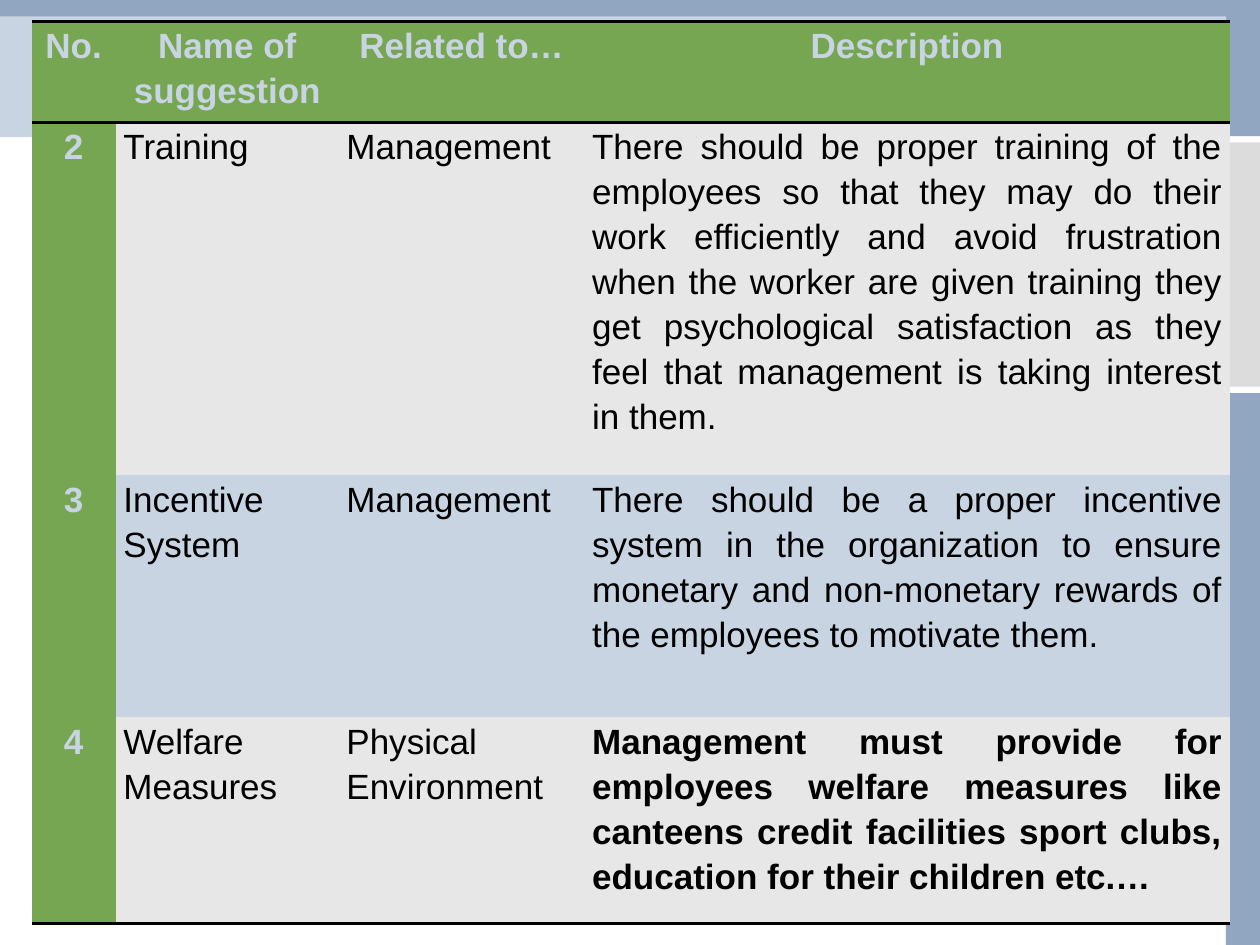
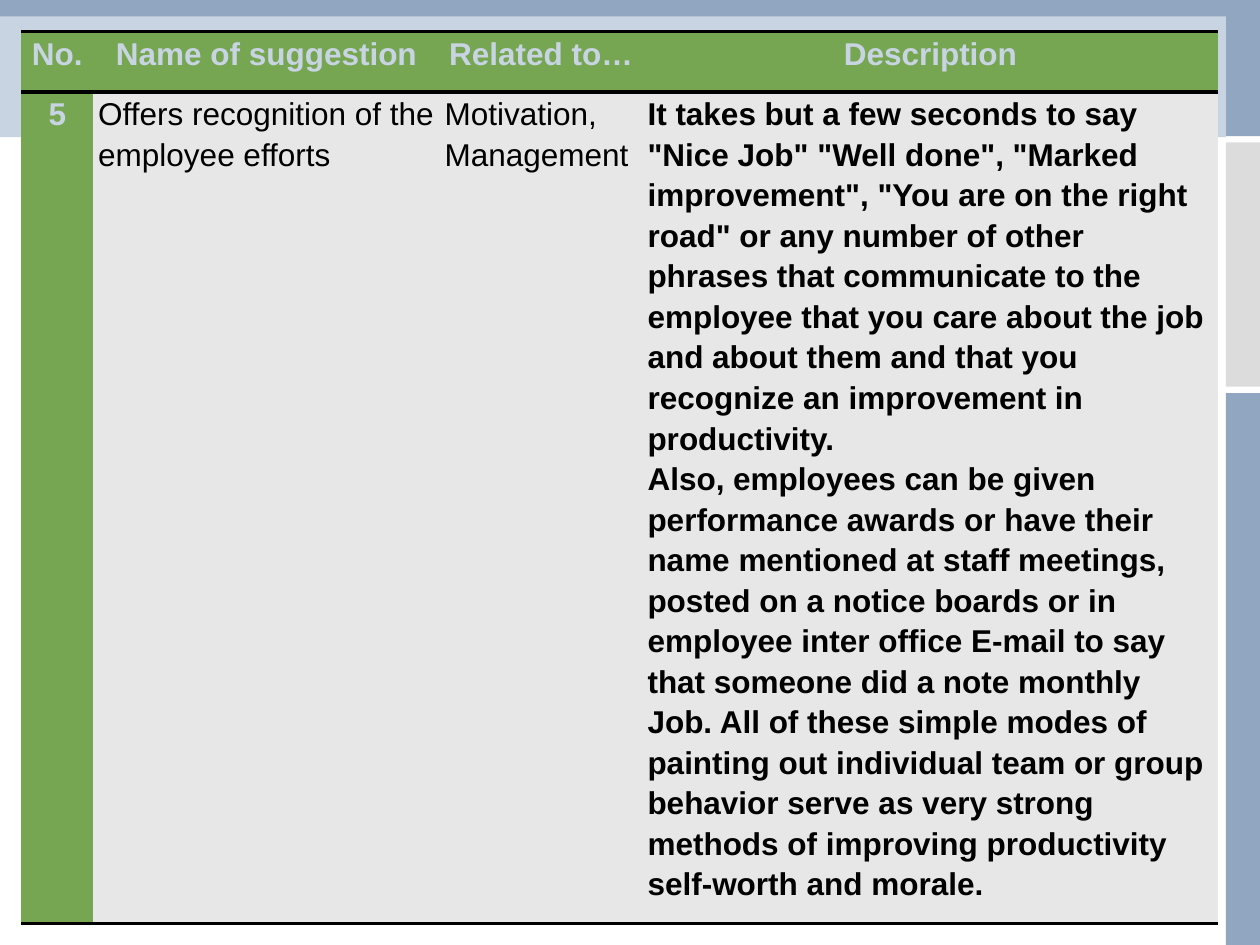
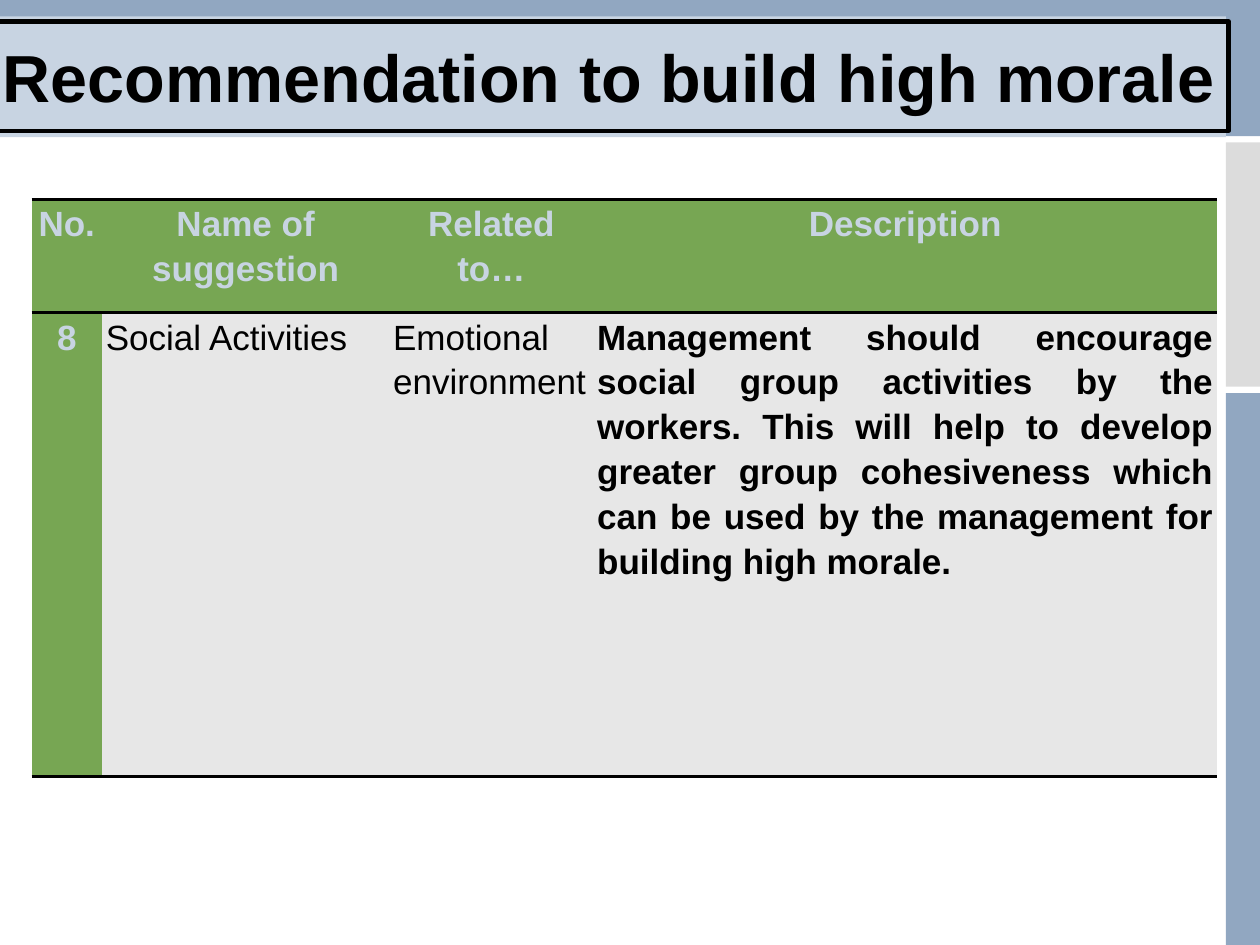
from lxml import etree
from pptx import Presentation
from pptx import util as u
from pptx.dml.color import RGBColor
from pptx.enum import shapes, text
from pptx.oxml.ns import qn

COLORS = {
    "band": "91A7C1",
    "pale": "C8D4E2",
    "tab": "DCDCDC",
    "green": "77A653",
    "grey": "E7E7E7",
    "black": "000000",
}
FONT = "Arial"
PLAIN_TABLE_STYLE = "{2D5ABB26-0587-4C30-8999-92F81FD0307C}"
HEADERS = ["No.", "Name of suggestion", "Related to…", "Description"]
LEFT, CENTER, JUSTIFY = (
    text.PP_ALIGN.LEFT, text.PP_ALIGN.CENTER, text.PP_ALIGN.JUSTIFY)

# left, top, width, height, colour
BACKDROP = [
    (9.73, 1.13, 0.27, 1.94, "tab"),
    (9.73, 3.12, 0.27, 4.38, "band"),
    (0, 0, 10, 1.08, "band"),
    (0, 0.13, 9.73, 0.96, "pale"),
]

# Each row: number, name, related to, description paragraphs, bold description
SLIDES = [
    dict(
        left=0.25, top=0.17, cols=[0.67, 1.77, 1.95, 5.12],
        heights=[0.8, 2.8, 1.92, 1.64], inset=0.06, size=20, align=JUSTIFY,
        rows=[
            ("2", "Training", "Management",
             ["There should be proper training of the employees so that they "
              "may do their work efficiently and avoid frustration when the "
              "worker are given training they get psychological satisfaction "
              "as they feel that management is taking interest in them."],
             False),
            ("3", "Incentive System", "Management",
             ["There should be a proper incentive system in the organization "
              "to ensure monetary and non-monetary rewards of the employees "
              "to motivate them."], False),
            ("4", "Welfare Measures", "Physical Environment",
             ["Management must provide for employees welfare measures like "
              "canteens credit facilities sport clubs, education for their "
              "children etc.…"], True),
        ]),
    dict(
        left=0.17, top=0.25, cols=[0.57, 2.75, 1.61, 4.57],
        heights=[0.48, 6.6], inset=0.04, size=18, align=LEFT,
        rows=[
            ("5", "Offers recognition of the employee efforts",
             "Motivation, Management",
             ["It takes but a few seconds to say \"Nice Job\" \"Well done\", "
              "\"Marked improvement\", \"You are on the right road\" or any "
              "number of other phrases that communicate to the employee that "
              "you care about the job and about them and that you recognize "
              "an improvement in productivity.",
              "Also, employees can be given performance awards or have their "
              "name mentioned at staff meetings, posted on a notice boards or "
              "in employee inter office E-mail to say that someone did a note "
              "monthly Job. All of these simple modes of painting out "
              "individual team or group behavior serve as very strong methods "
              "of improving productivity self-worth and morale."], True),
        ]),
    dict(
        title="Recommendation to build high morale",
        left=0.25, top=1.58, cols=[0.56, 2.28, 1.62, 4.95],
        heights=[0.9, 3.68], inset=0.03, size=20, align=JUSTIFY,
        rows=[
            ("8", "Social Activities", "Emotional environment",
             ["Management should encourage social group activities by the "
              "workers. This will help to develop greater group cohesiveness "
              "which can be used by the management for building high "
              "morale."], True),
        ]),
]


def rgb(name):
    return RGBColor.from_string(COLORS[name])


def add_run(p, words, size, color, bold):
    r = p.add_run()
    r.text = words
    r.font.name = FONT
    r.font.size = u.Pt(size)
    r.font.bold = bold
    r.font.color.rgb = rgb(color)


def add_backdrop(s):
    for *box, color in BACKDROP:
        sp = s.shapes.add_shape(
            shapes.MSO_SHAPE.RECTANGLE, *map(u.Inches, box))
        sp.shadow.inherit = False
        sp.fill.solid()
        sp.fill.fore_color.rgb = rgb(color)
        sp.line.fill.background()


def add_title(s, words, box):
    sp = s.shapes.add_textbox(*map(u.Inches, box))
    sp.line.color.rgb = rgb("black")
    sp.line.width = u.Pt(2.5)
    tf = sp.text_frame
    tf.word_wrap = True
    tf.margin_left = tf.margin_right = u.Inches(0.05)
    tf.vertical_anchor = text.MSO_ANCHOR.MIDDLE
    p = tf.paragraphs[0]
    p.alignment = CENTER
    add_run(p, words, 38, "black", True)


def add_rules(cell, sides):
    """Draw black 2 pt borders on the sides named, T before B."""
    tc_pr = cell._tc.get_or_add_tcPr()
    for i, side in enumerate(sides):
        ln = etree.Element(qn(f"a:ln{side}"), w=str(u.Pt(2)))
        fill = etree.SubElement(ln, qn("a:solidFill"))
        etree.SubElement(fill, qn("a:srgbClr"), val=COLORS["black"])
        tc_pr.insert(i, ln)


def fill_cell(cell, paragraphs, fill, inset, size, color, bold, align):
    cell.fill.solid()
    cell.fill.fore_color.rgb = rgb(fill)
    cell.margin_left = cell.margin_right = u.Inches(inset)
    cell.margin_top = cell.margin_bottom = 0
    tf = cell.text_frame
    for i, words in enumerate(paragraphs):
        p = tf.add_paragraph() if i else tf.paragraphs[0]
        p.alignment = align
        p.line_spacing = 1.15
        add_run(p, words, size, color, bold)


def add_suggestions(s, left, top, cols, heights, inset, size, align, rows):
    frame = s.shapes.add_table(
        len(heights), len(cols), u.Inches(left), u.Inches(top),
        u.Inches(sum(cols)), u.Inches(sum(heights)))
    table = frame.table
    table.horz_banding = False
    table._tbl.tblPr.find(qn("a:tableStyleId")).text = PLAIN_TABLE_STYLE
    for col, width in zip(table.columns, cols):
        col.width = u.Inches(width)
    for row, height in zip(table.rows, heights):
        row.height = u.Inches(height)

    def label(cell, words):
        fill_cell(cell, [words], "green", inset, size, "pale", True, CENTER)

    for c, words in enumerate(HEADERS):
        label(table.cell(0, c), words)
        add_rules(table.cell(0, c), "TB")
    for n, (number, name, related, description, bold) in enumerate(rows, 1):
        label(table.cell(n, 0), number)
        body = [([name], False, LEFT), ([related], False, LEFT),
                (description, bold, align)]
        for c, (paragraphs, strong, side) in enumerate(body, 1):
            fill_cell(table.cell(n, c), paragraphs, "grey" if n % 2 else "pale",
                      inset, size, "black", strong, side)
    for c in range(len(cols)):
        add_rules(table.cell(len(rows), c), "B")


def add_slide(prs, title=None, **suggestions):
    s = prs.slides.add_slide(prs.slide_layouts[6])
    add_backdrop(s)
    add_suggestions(s, **suggestions)
    if title:
        add_title(s, title, (-0.08, 0.17, 9.83, 0.87))


def main():
    prs = Presentation()
    prs.slide_width, prs.slide_height = u.Inches(10), u.Inches(7.5)
    for content in SLIDES:
        add_slide(prs, **content)
    prs.save("out.pptx")


if __name__ == "__main__":
    main()
